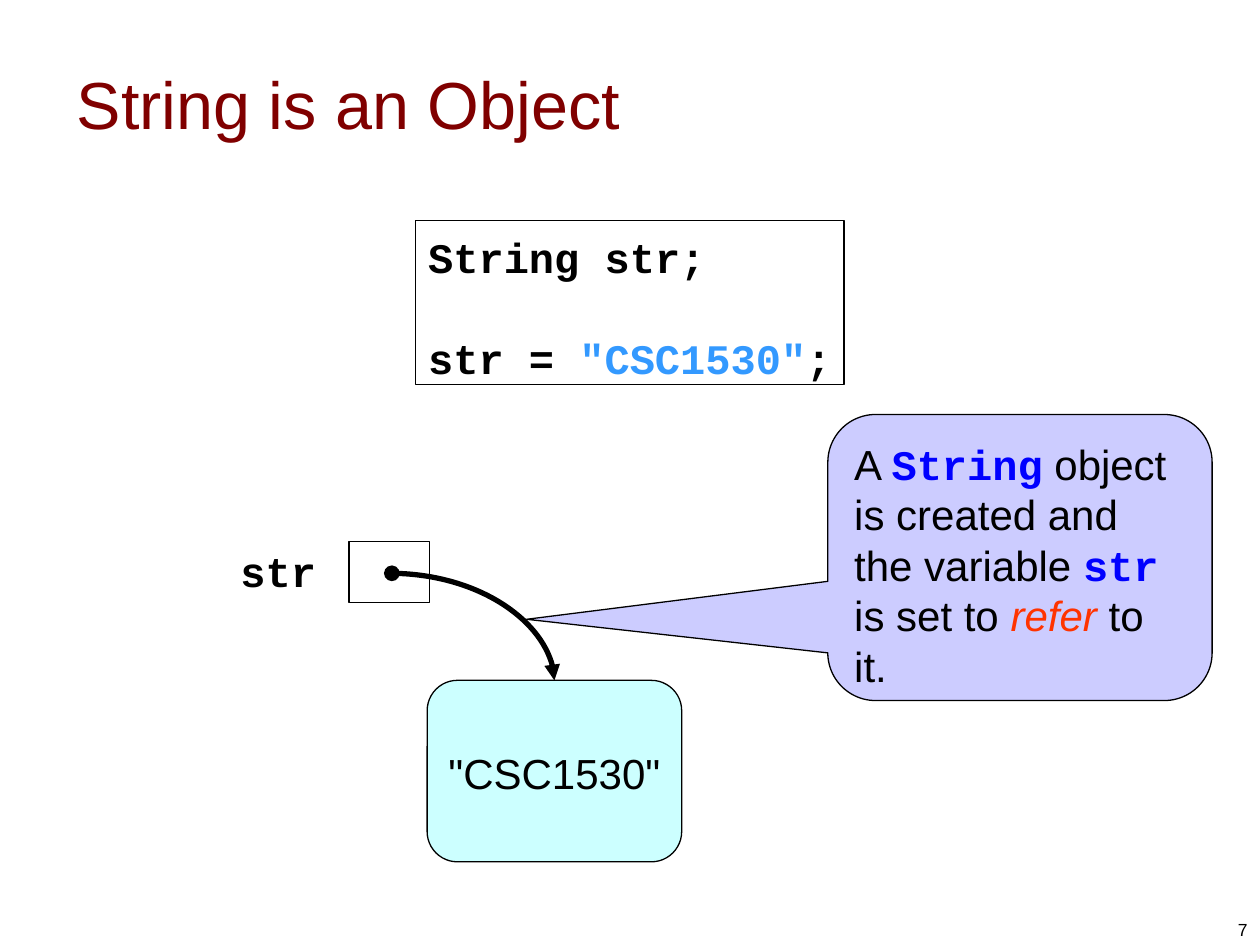
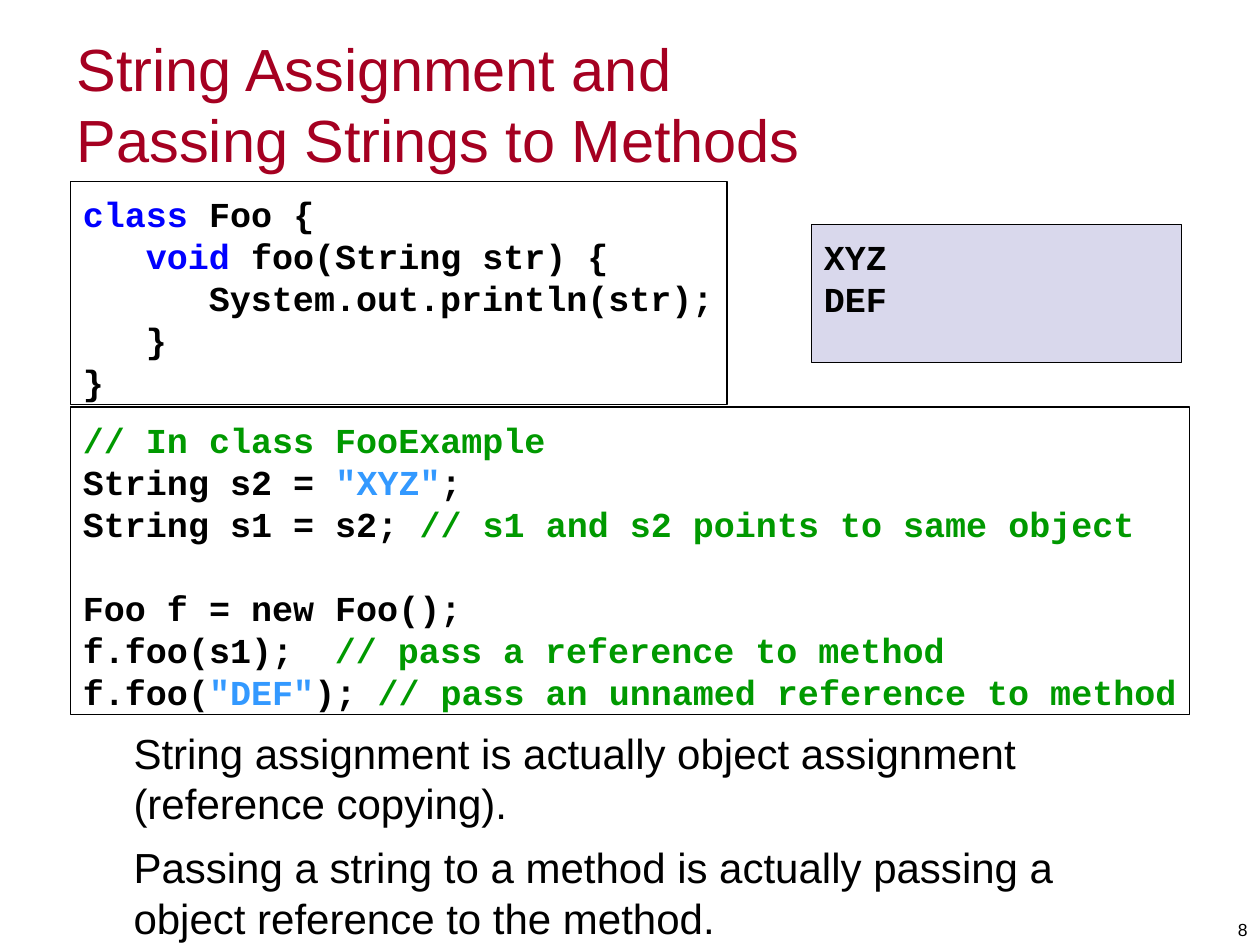
from dataclasses import dataclass
from pptx import Presentation
from pptx.dml.color import RGBColor
from pptx.enum.shapes import MSO_CONNECTOR, MSO_SHAPE as Shape
from pptx.enum.text import MSO_ANCHOR as Anchor, MSO_AUTO_SIZE, PP_ALIGN as Align
from pptx.oxml.ns import qn
from pptx.util import Inches, Pt
from lxml.etree import SubElement

COLORS = {
    "black": "000000", "white": "FFFFFF", "maroon": "800000", "crimson": "A50021",
    "keyword": "0000FF", "literal": "3399FF", "comment": "009900", "accent": "FF3300",
    "object": "CCFFFF", "callout": "CCCCFF", "output": "D9D8EC",
}
PROSE = {"name": "Arial", "bold": False, "italic": False}
CODE = {"name": "Courier New", "bold": True, "italic": False}
STYLES = {
    "prose": (PROSE, "black"),
    "refer": ({**PROSE, "italic": True}, "accent"),
    "maroon": (PROSE, "maroon"),
    "crimson": (PROSE, "crimson"),
    "code": (CODE, "black"),
    "keyword": (CODE, "keyword"),
    "literal": (CODE, "literal"),
    "comment": (CODE, "comment"),
}
LINE_FACTOR = 1.2
CODE_CHAR = 0.6


@dataclass
class Line:
    spans: list
    indent: int = 0
    skip: float = 0
    tab: int = 0


def code(text, **layout):
    return Line([(text, "code")], **layout)


def prose(text, **layout):
    return Line([(text, "prose")], **layout)


def rgb(name):
    return RGBColor.from_string(COLORS[name])


def set_values(target, values):
    for name, value in values.items():
        setattr(target, name, value)


def write(frame, lines, size, align=Align.LEFT, anchor=Anchor.TOP, wrap=True, top=0.08):
    set_values(frame, {
        "auto_size": MSO_AUTO_SIZE.NONE, "word_wrap": wrap, "vertical_anchor": anchor,
        "margin_left": Inches(0.1), "margin_right": Inches(0.1),
        "margin_top": Inches(top), "margin_bottom": Inches(0.05),
    })
    for index, line in enumerate(lines):
        para = frame.paragraphs[0] if index == 0 else frame.add_paragraph()
        set_values(para, {
            "alignment": align, "line_spacing": Pt(size * LINE_FACTOR),
            "space_before": Pt(line.skip * size * LINE_FACTOR), "space_after": Pt(0),
        })
        props = para._p.get_or_add_pPr()
        props.set("marL", str(Pt(line.indent * size * CODE_CHAR)))
        props.set("indent", "0")
        SubElement(props, qn("a:buNone"))
        if line.tab:
            stops = SubElement(props, qn("a:tabLst"))
            SubElement(stops, qn("a:tab"), pos=str(Pt(line.tab * size * CODE_CHAR)), algn="l")
        for text, style in line.spans:
            span = para.add_run()
            span.text = text
            font, color = STYLES[style]
            set_values(span.font, {**font, "size": Pt(size)})
            span.font.color.rgb = rgb(color)


def add_text(page, box, lines, size, **layout):
    label = page.shapes.add_textbox(*map(Inches, box))
    write(label.text_frame, lines, size, **layout)


def add_box(page, box, fill=None, kind=Shape.RECTANGLE, adjust=()):
    shape = page.shapes.add_shape(kind, *map(Inches, box))
    shape.shadow.inherit = False
    if fill:
        shape.fill.solid()
        shape.fill.fore_color.rgb = rgb(fill)
    else:
        shape.fill.background()
    shape.line.color.rgb = rgb("black")
    shape.line.width = Pt(0.75)
    for index, value in enumerate(adjust):
        shape.adjustments[index] = value
    return shape


def add_code(page, box, lines, size, fill=None, wrap=False):
    write(add_box(page, box, fill).text_frame, lines, size, wrap=wrap, top=0.09)


def place(holder, box):
    set_values(holder, dict(zip(("left", "top", "width", "height"), map(Inches, box))))


def start_page(deck, layout, title, size, color, number):
    page = deck.slides.add_slide(deck.slide_layouts[layout])
    place(page.shapes.title, (0.51, 0.18, 9, 1.25))
    lines = [Line([(text, color)]) for text in title]
    write(page.shapes.title.text_frame, lines, size, anchor=Anchor.MIDDLE)
    add_text(page, (7.67, 7.01, 2.33, 0.5), [prose(str(number))], 10,
             align=Align.RIGHT, anchor=Anchor.BOTTOM)
    return page


def add_pointer(page, start, end):
    pointer = page.shapes.add_connector(MSO_CONNECTOR.CURVE, *map(Inches, start + end))
    pointer.line.color.rgb = rgb("black")
    pointer.line.width = Pt(3)
    props = pointer._element.spPr
    props.find(qn("a:prstGeom")).set("prst", "curvedConnector2")
    stroke = pointer.line._get_or_add_ln()
    SubElement(stroke, qn("a:headEnd"), type="oval")
    SubElement(stroke, qn("a:tailEnd"), type="triangle")
    SubElement(props, qn("a:effectLst"))


def draw_reference(page, box):
    left, top, width, height = box
    target_top = top + height - 1.44
    target = add_box(page, (left + 1.58, target_top, 2.02, 1.44), "object",
                     Shape.ROUNDED_RECTANGLE, (0.167,))
    write(target.text_frame, [prose('"CSC1530"')], 24,
          align=Align.CENTER, anchor=Anchor.MIDDLE, wrap=False)
    add_box(page, (left + 0.96, top + 0.05, 0.64, 0.48), "white")
    add_text(page, (left, top, 0.8, 0.5), [code("str")], 24, wrap=False)
    note = add_box(page, (left + width - 3.05, top - 0.96, 3.05, 2.27), "callout",
                   Shape.ROUNDED_RECTANGULAR_CALLOUT, (-1.284, 0.216, 0.167))
    write(note.text_frame, [Line([
        ("A ", "prose"), ("String", "keyword"),
        (" object is created and the variable ", "prose"), ("str", "keyword"),
        (" is set to ", "prose"), ("refer", "refer"), (" to it.", "prose"),
    ])], 24)
    add_pointer(page, (left + 1.3, top + 0.3), (left + 2.59, target_top))


def build_object_page(deck):
    page = start_page(deck, 5, ["String is an Object"], 38, "maroon", 7)
    add_code(page, (3.3, 1.75, 3.4, 1.3), [
        code("String str;"),
        Line([("str = ", "code"), ('"CSC1530"', "literal"), (";", "code")], skip=1),
    ], 24)
    draw_reference(page, (1.81, 4.25, 7.81, 2.59))


def build_assignment_page(deck):
    title = ["String Assignment and", "Passing Strings to Methods"]
    page = start_page(deck, 1, title, 34, "crimson", 8)
    add_code(page, (0.56, 1.44, 5.21, 1.77), [
        Line([("class", "keyword"), (" Foo {", "code")]),
        Line([("void", "keyword"), (" foo(String str) {", "code")], indent=3),
        code("System.out.println(str);", indent=6),
        code("}", indent=3),
        code("}"),
    ], 20)
    add_code(page, (6.44, 1.78, 2.94, 1.1), [code("XYZ"), code("DEF")], 20, "output", True)
    add_code(page, (0.56, 3.23, 8.88, 2.44), [
        Line([("// In class FooExample", "comment")]),
        Line([("String s2 = ", "code"), ('"XYZ"', "literal"), (";", "code")]),
        Line([("String s1 = s2; ", "code"),
              ("// s1 and s2 points to same object", "comment")]),
        code("Foo f = new Foo();", skip=1),
        Line([("f.foo(s1);\t", "code"), ("// pass a reference to method", "comment")], tab=14),
        Line([("f.foo(", "code"), ('"DEF"', "literal"), ("); ", "code"),
              ("// pass an unnamed reference to method", "comment")]),
    ], 20)
    body = page.placeholders[1]
    place(body, (0.96, 5.69, 8.07, 1.81))
    write(body.text_frame, [
        prose("String assignment is actually object assignment (reference copying)."),
        prose("Passing a string to a method is actually passing a object reference"
              " to the method.", skip=0.28),
    ], 24)


def main():
    deck = Presentation()
    deck.slide_width, deck.slide_height = Inches(10), Inches(7.5)
    build_object_page(deck)
    build_assignment_page(deck)
    deck.save("out.pptx")


if __name__ == "__main__":
    main()
